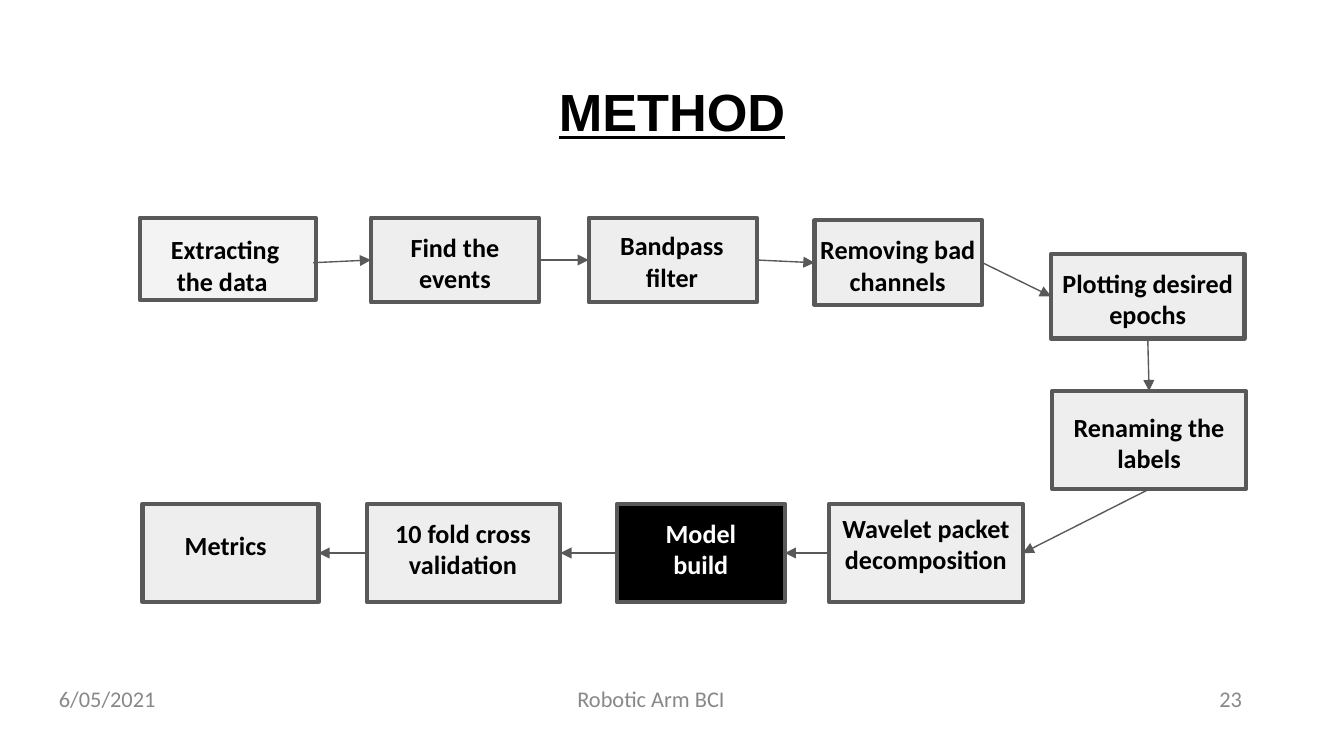
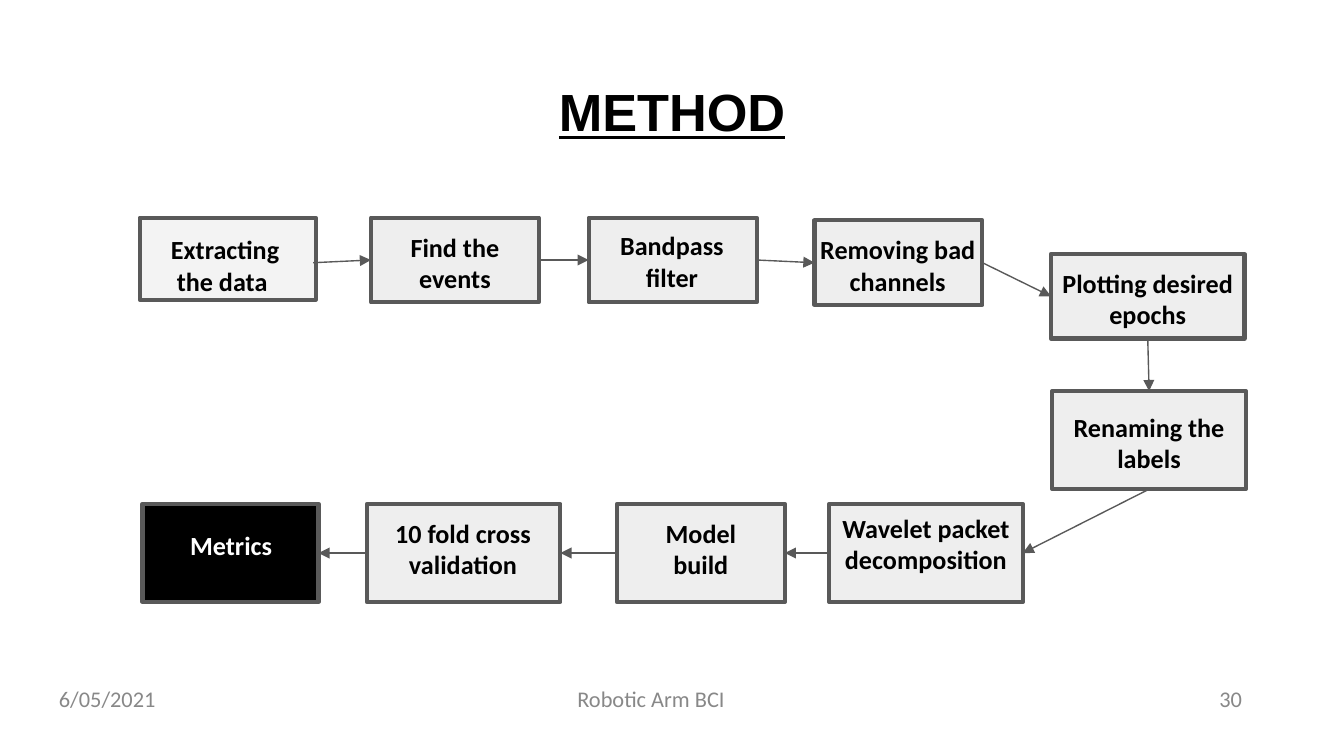
from collections import namedtuple
from itertools import pairwise

from pptx import Presentation
from pptx.dml.color import RGBColor
from pptx.enum.shapes import MSO_CONNECTOR as CONNECTOR, MSO_SHAPE as SHAPE
from pptx.enum.text import MSO_ANCHOR as ANCHOR, PP_ALIGN as ALIGN
from pptx.oxml.ns import qn
from pptx.util import Inches, Pt

INK, PAPER, OUTLINE, MUTED = "000000", "FFFFFF", "595959", "888888"
STEP_FILL, FIRST_FILL = "EEEEEE", "F3F3F3"
HEADING_FONT, BODY_FONT = "Arial", "Calibri"
TOP, LEFT, BOTTOM, RIGHT = range(4)

TITLE_BOX = (0.34, 0.49, 9.32, 0.63)
FLOW_BOX = (1.04, 1.62, 8.23, 2.86)
FOOTER_BOX = (0.34, 5, 9, 0.4)

NARROW, MEDIUM, WIDE = 1.25, 1.31, 1.44
UPPER, LOWER = 0.63, 0.73
RETURN_ROW = FLOW_BOX[3] - LOWER

# box is relative to the flow, label is relative to the step's box
Step = namedtuple("Step", "text box label entry exit fill leaves_label",
                  defaults=[STEP_FILL, False])
STEPS = [
    Step("Extracting the data ", (0, 0, MEDIUM, 0.61), (-0.02, 0.02, 1.31, 0.63),
         LEFT, RIGHT, FIRST_FILL, leaves_label=True),
    Step("Find the events", (1.72, 0, NARROW, UPPER), (0.07, 0, 1.11, 0.55), LEFT, RIGHT),
    Step("Bandpass filter", (3.34, 0, NARROW, UPPER), (0.04, -0.01, 1.16, 0.56), LEFT, RIGHT),
    Step("Removing bad channels", (5.02, 0.02, NARROW, UPPER), (-0.1, 0, 1.44, 0.63),
         LEFT, RIGHT),
    Step("Plotting desired epochs", (6.78, 0.27, WIDE, UPPER), (-0.08, 0, 1.6, 0.61),
         LEFT, BOTTOM),
    Step("Renaming the labels", (6.79, 1.29, WIDE, LOWER), (0, 0.05, 1.44, 0.61), TOP, BOTTOM),
    Step("Wavelet packet decomposition", (5.13, RETURN_ROW, WIDE, LOWER),
         (-0.08, -0.04, 1.6, 0.63), RIGHT, LEFT),
    Step("Model build", (3.55, RETURN_ROW, NARROW, LOWER), (0.07, 0, 1.11, 0.55), RIGHT, LEFT),
    Step("10 fold cross validation", (1.69, RETURN_ROW, WIDE, LOWER), (0.06, 0, 1.31, 0.73),
         RIGHT, LEFT),
    Step("Metrics", (0.02, RETURN_ROW, MEDIUM, LOWER), (0.15, 0.09, 0.94, 0.55), RIGHT, LEFT),
]


def color(hex_value):
    return RGBColor.from_string(hex_value)


def inches(box):
    return [Inches(length) for length in box]


def within(outer, inner):
    """Turn a box relative to outer into one relative to the slide."""
    return (outer[0] + inner[0], outer[1] + inner[1], inner[2], inner[3])


def add_text(slide, box, text, *, size, font=BODY_FONT, ink=INK, bold=False,
             underline=False, align=ALIGN.CENTER, anchor=ANCHOR.TOP, inset_y=0.1):
    holder = slide.shapes.add_textbox(*inches(box))
    frame = holder.text_frame
    frame.word_wrap = True
    frame.vertical_anchor = anchor
    frame.margin_left = frame.margin_right = Inches(0.1)
    frame.margin_top = frame.margin_bottom = Inches(inset_y)
    paragraph = frame.paragraphs[0]
    paragraph.alignment = align
    run = paragraph.add_run()
    run.text = text
    run.font.name, run.font.size = font, Pt(size)
    run.font.bold, run.font.underline = bold, underline
    run.font.color.rgb = color(ink)
    return holder


def add_step(slide, flow_box, step, highlighted, label_shift):
    """Return the shapes where the arrows arrive and leave."""
    box = within(flow_box, step.box)
    block = slide.shapes.add_shape(SHAPE.RECTANGLE, *inches(box))
    block.shadow.inherit = False
    block.fill.solid()
    block.fill.fore_color.rgb = color(INK if highlighted else step.fill)
    block.line.color.rgb = color(OUTLINE)
    block.line.width = Pt(2.25)
    line = block.line._get_or_add_ln()
    line.append(line.makeelement(qn("a:round"), {}))

    x, y, width, height = step.label
    label_box = (x + label_shift * highlighted, y, width, height)
    label = add_text(slide, within(box, label_box), step.text, size=14, bold=True,
                     ink=PAPER if highlighted else INK)
    return block, label if step.leaves_label else block


def add_arrow(slide, start, start_side, end, end_side):
    arrow = slide.shapes.add_connector(CONNECTOR.STRAIGHT, 0, 0, 0, 0)
    arrow.begin_connect(start, start_side)
    arrow.end_connect(end, end_side)
    arrow.line.color.rgb = color(OUTLINE)
    arrow.line.width = Pt(0.75)
    line = arrow.line._get_or_add_ln()
    line.append(line.makeelement(qn("a:tailEnd"), {"type": "triangle"}))
    properties = arrow._element.spPr
    properties.append(properties.makeelement(qn("a:effectLst"), {}))


def add_flow(slide, box, current, label_shift):
    ends = [add_step(slide, box, step, step.text == current, label_shift)
            for step in STEPS]
    for (step, (_, start)), (next_step, (end, _)) in pairwise(zip(STEPS, ends)):
        add_arrow(slide, start, step.exit, end, next_step.entry)


def add_footer(slide, box, page):
    side_width = 2.33
    for text, x, width, align in [
        ("6/05/2021", 0, side_width, ALIGN.LEFT),
        ("Robotic Arm BCI", 2.92, 3.17, ALIGN.CENTER),
        (str(page), box[2] - side_width, side_width, ALIGN.RIGHT),
    ]:
        add_text(slide, within(box, (x, 0, width, box[3])), text, size=12, ink=MUTED,
                 align=align, anchor=ANCHOR.MIDDLE, inset_y=0.05)


def add_method_slide(deck, page, current, label_shift=0):
    """Show the whole method with the current step in black."""
    slide = deck.slides.add_slide(deck.slide_layouts[6])
    add_text(slide, TITLE_BOX, "METHOD", size=28, font=HEADING_FONT, bold=True, underline=True)
    add_flow(slide, FLOW_BOX, current, label_shift)
    add_footer(slide, FOOTER_BOX, page)


def main():
    deck = Presentation()
    deck.slide_width = Inches(10)
    deck.slide_height = deck.slide_width * 9 // 16
    add_method_slide(deck, 23, "Model build")
    add_method_slide(deck, 30, "Metrics", label_shift=0.04)
    deck.save("out.pptx")


if __name__ == "__main__":
    main()
